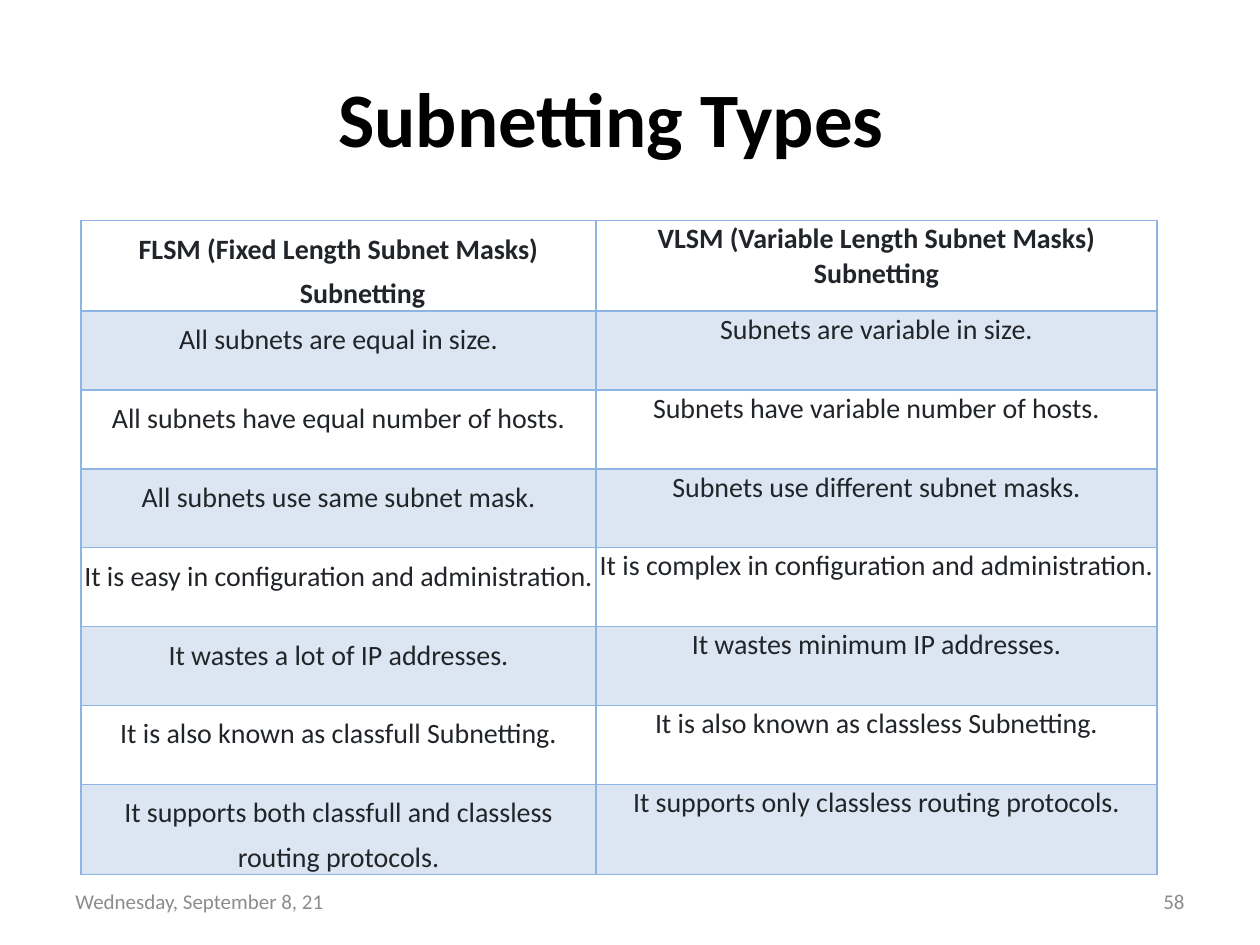
import pptx
import pptx.dml.color
import pptx.enum.text
import pptx.oxml
import pptx.oxml.ns
import pptx.util
from pptx.util import Cm

ALIGN = pptx.enum.text.PP_ALIGN
ANCHOR = pptx.enum.text.MSO_ANCHOR
COLOURS = {
    "title": "000000",
    "body": "212529",
    "footer": "8C8C8C",
    "band": "DCE6F2",
    "border": "8EB4E3",
}
FORMATS = {
    "title": {"size": pptx.util.Pt(44), "bold": True},
    "header": {"size": pptx.util.Pt(16), "bold": True},
    "body": {"size": pptx.util.Pt(16), "bold": False},
    "footer": {"size": pptx.util.Pt(12), "bold": False},
}
COMPARISON = [
    ("FLSM (Fixed Length Subnet Masks) Subnetting",
     "VLSM (Variable Length Subnet Masks) Subnetting"),
    ("All subnets are equal in size.", "Subnets are variable in size."),
    ("All subnets have equal number of hosts.",
     "Subnets have variable number of hosts."),
    ("All subnets use same subnet mask.", "Subnets use different subnet masks."),
    ("It is easy in configuration and administration.",
     "It is complex in configuration and administration."),
    ("It wastes a lot of IP addresses.", "It wastes minimum IP addresses."),
    ("It is also known as classfull Subnetting.",
     "It is also known as classless Subnetting."),
    ("It supports both classfull and classless routing protocols.",
     "It supports only classless routing protocols."),
]
COLUMN_SHARES = (0.479, 0.521)
LINE_SPACINGS = (1.3, 1.0)
HANGING_INDENTS = {(0, 0): Cm(0.97), (7, 1): Cm(1.12)}


def colour(name):
    return pptx.dml.color.RGBColor.from_string(COLOURS[name])


def set_values(target, values):
    for name, value in values.items():
        setattr(target, name, value)


def write_text(para, text, style, ink, align):
    para.alignment = align
    span = para.add_run()
    span.text = text
    set_values(span.font, {"name": "Calibri", **FORMATS[style]})
    span.font.color.rgb = colour(ink)


def add_label(page, box, text, style, align, **frame_values):
    frame = page.shapes.add_textbox(*box).text_frame
    set_values(frame, {"word_wrap": True, "vertical_anchor": ANCHOR.MIDDLE,
                       **frame_values})
    write_text(frame.paragraphs[0], text, style, style, align)


def add_borders(cell):
    properties = cell._tc.get_or_add_tcPr()
    for position, side in enumerate(("lnL", "lnR", "lnT", "lnB")):
        border = pptx.oxml.parse_xml(
            f'<a:{side} {pptx.oxml.ns.nsdecls("a")} w="12700"><a:solidFill>'
            f'<a:srgbClr val="{COLOURS["border"]}"/></a:solidFill></a:{side}>')
        properties.insert(position, border)


def fill_cell(cell, text, row, column):
    margins = ("margin_left", "margin_right", "margin_top", "margin_bottom")
    set_values(cell, dict.fromkeys(margins, Cm(0.03)))
    if row % 2:
        cell.fill.solid()
        cell.fill.fore_color.rgb = colour("band")
    else:
        cell.fill.background()
    add_borders(cell)
    para = cell.text_frame.paragraphs[0]
    para.line_spacing = LINE_SPACINGS[column]
    write_text(para, text, "body" if row else "header", "body", ALIGN.CENTER)
    indent = HANGING_INDENTS.get((row, column))
    if indent:
        properties = para._p.get_or_add_pPr()
        properties.set("marL", str(indent))
        properties.set("indent", str(-indent))


def add_comparison(page, box):
    table = page.shapes.add_table(len(COMPARISON), 2, *box).table
    set_values(table, {"first_row": False, "horz_banding": False})
    for column, share in zip(table.columns, COLUMN_SHARES):
        column.width = int(box[2] * share)
    for row, texts in enumerate(COMPARISON):
        for column, text in enumerate(texts):
            fill_cell(table.cell(row, column), text, row, column)


def add_footer(page, box):
    left, top, width, height = box
    label_width = Cm(5.93)
    add_label(page, (left, top, label_width, height),
              "Wednesday, September 8, 21", "footer", ALIGN.LEFT)
    add_label(page, (left + width - label_width, top, label_width, height),
              "58", "footer", ALIGN.RIGHT)


def main():
    deck = pptx.Presentation()
    set_values(deck, {"slide_width": Cm(25.4), "slide_height": Cm(19.05)})
    page = deck.slides.add_slide(deck.slide_layouts[6])
    add_label(page, (Cm(1.27), Cm(0.76), Cm(22.86), Cm(3.18)),
              "Subnetting Types", "title", ALIGN.CENTER, margin_right=Cm(1))
    add_comparison(page, (Cm(1.63), Cm(4.45), Cm(21.69), 8 * Cm(1.59)))
    add_footer(page, (Cm(1.27), Cm(17.65), Cm(22.86), Cm(1.02)))
    deck.save("out.pptx")


if __name__ == "__main__":
    main()
